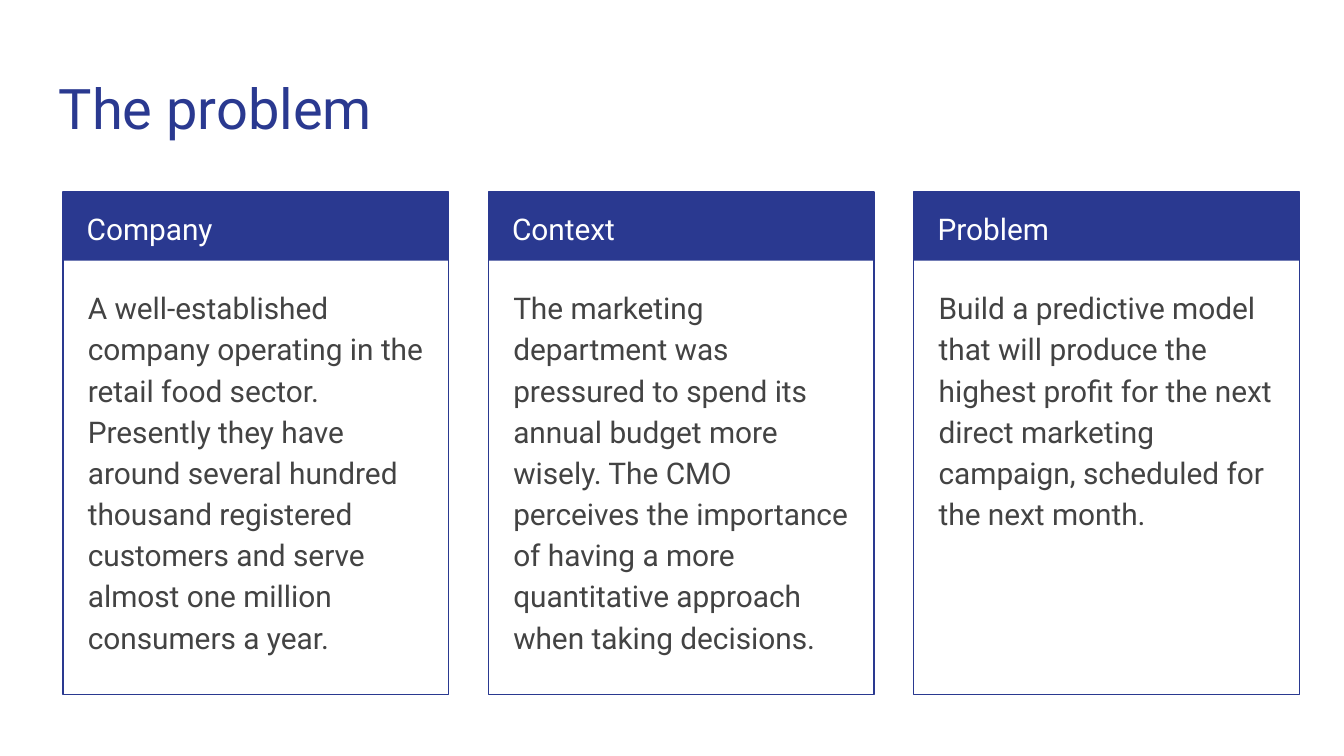
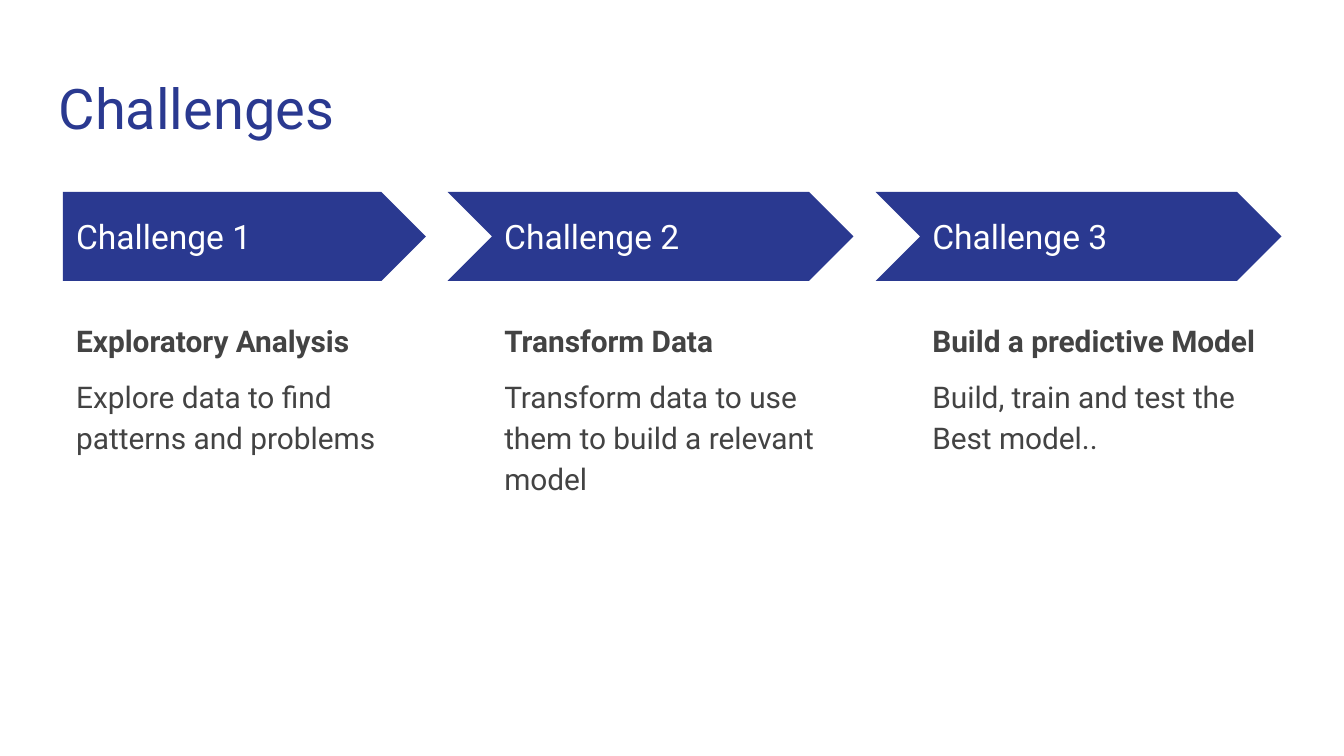
from dataclasses import dataclass

from lxml.etree import SubElement
from pptx import Presentation
from pptx.dml.color import RGBColor
from pptx.enum.shapes import MSO_SHAPE
from pptx.enum.text import MSO_ANCHOR, MSO_AUTO_SIZE, PP_ALIGN
from pptx.oxml.ns import qn
from pptx.util import Cm, Pt


@dataclass(frozen=True)
class Theme:
    """Colours, font and type sizes of the deck."""
    blue: RGBColor = RGBColor(0x2A, 0x39, 0x90)
    grey: RGBColor = RGBColor(0x43, 0x43, 0x43)
    white: RGBColor = RGBColor(0xFF, 0xFF, 0xFF)
    font: str = "Roboto"
    title: int = 30
    label: int = 18
    text: int = 16


THEME = Theme()
LAYOUT = 4  # Comparison: a title and four text areas
LEFT, TOP = 1.19, 3.63

CARDS = [
    ("Company", "A well-established company operating in the retail food sector. "
     "Presently they have around several hundred thousand registered customers "
     "and serve almost one million consumers a year."),
    ("Context", "The marketing department was pressured to spend its annual budget "
     "more wisely. The CMO perceives the importance of having a more quantitative "
     "approach when taking decisions."),
    ("Problem", "Build a predictive model that will produce the highest profit for "
     "the next direct marketing campaign, scheduled for the next month."),
]
STEPS = [
    ("Challenge 1", "Exploratory Analysis", "Explore data to find patterns and problems"),
    ("Challenge 2", "Transform Data",
     "Transform data to use them to build a relevant model"),
    ("Challenge 3", "Build a predictive Model", "Build, train and test the Best model.."),
]


# Helpers

def apply(item, values):
    for name, value in values.items():
        setattr(item, name, value)


def place(shape, x, y, w, h):
    apply(shape, {"left": Cm(x), "top": Cm(y), "width": Cm(w), "height": Cm(h)})


def set_frame(shape, anchor=MSO_ANCHOR.TOP):
    inset = Cm(0.25)
    apply(shape.text_frame, {
        "word_wrap": True, "auto_size": MSO_AUTO_SIZE.NONE, "vertical_anchor": anchor,
        "margin_left": inset, "margin_right": inset,
        "margin_top": inset, "margin_bottom": inset,
    })


def write(par, text, size, color, bold=False, lead=1.15, before=0, after=0):
    """Fill one flush-left paragraph without a bullet."""
    apply(par, {"alignment": PP_ALIGN.LEFT, "line_spacing": lead,
                "space_before": Pt(before), "space_after": Pt(after)})
    props = par._p.get_or_add_pPr()
    props.set("marL", "0")
    props.set("indent", "0")
    SubElement(props, qn("a:buNone"))
    run = par.add_run()
    run.text = text
    apply(run.font, {"name": THEME.font, "size": Pt(size), "bold": bold})
    run.font.color.rgb = color


# Kinds of element

def add_slide(deck, title):
    """Start a slide; return it with its three body areas."""
    slide = deck.slides.add_slide(deck.slide_layouts[LAYOUT])
    head = slide.shapes.title
    place(head, 0.86, 1.14, 23.67, 1.68)
    set_frame(head)
    write(head.text_frame.paragraphs[0], title, THEME.title, THEME.blue, lead=1)
    *areas, spare = list(slide.placeholders)[1:]
    spare.element.getparent().remove(spare.element)
    return slide, areas


def add_block(slide, kind, box, filled=True):
    shape = slide.shapes.add_shape(kind, *map(Cm, box))
    shape.shadow.inherit = False
    if filled:
        shape.fill.solid()
        shape.fill.fore_color.rgb = THEME.blue
        shape.line.fill.background()
    else:
        shape.fill.background()
        shape.line.color.rgb = THEME.blue
        shape.line.width = Pt(0.75)


def add_label(slide, text, box, size, lead, anchor):
    label = slide.shapes.add_textbox(*map(Cm, box))
    set_frame(label, anchor)
    write(label.text_frame.paragraphs[0], text, size, THEME.white, lead=lead)


def add_card(slide, area, x, head, text):
    add_block(slide, MSO_SHAPE.RECTANGLE, (x, TOP, 7.29, 1.3))
    add_block(slide, MSO_SHAPE.RECTANGLE, (x, TOP, 7.29, 9.5), filled=False)
    add_label(slide, head, (x + 0.2, TOP, 6.93, 1.27), THEME.text, 1.15, MSO_ANCHOR.TOP)
    place(area, x + 0.22, 5.13, 6.88, 7.77)
    set_frame(area)
    write(area.text_frame.paragraphs[0], text, THEME.text, THEME.grey, after=16)


def add_step(slide, area, x, first, label, head, text):
    if first:
        add_block(slide, MSO_SHAPE.PENTAGON, (x, TOP, 6.86, 1.68))
    else:
        add_block(slide, MSO_SHAPE.CHEVRON, (x - 0.82, TOP, 7.67, 1.68))
    add_label(slide, label, (x, 4.04, 6.27, 0.86), THEME.label, 1, MSO_ANCHOR.MIDDLE)
    place(area, x, 5.74, 6.86, 7.37)
    set_frame(area)
    frame = area.text_frame
    write(frame.paragraphs[0], head, THEME.text, THEME.grey, bold=True)
    write(frame.add_paragraph(), text, THEME.text, THEME.grey, before=8, after=8)


def main():
    deck = Presentation()
    apply(deck, {"slide_width": Cm(25.4), "slide_height": Cm(14.29)})

    # Three cards
    slide, areas = add_slide(deck, "The problem")
    for i, (area, card) in enumerate(zip(areas, CARDS)):
        add_card(slide, area, LEFT + i * 8.04, *card)

    # Three steps
    slide, areas = add_slide(deck, "Challenges")
    for i, (area, step) in enumerate(zip(areas, STEPS)):
        add_step(slide, area, LEFT + i * 8.09, i == 0, *step)

    deck.save("out.pptx")


if __name__ == "__main__":
    main()
